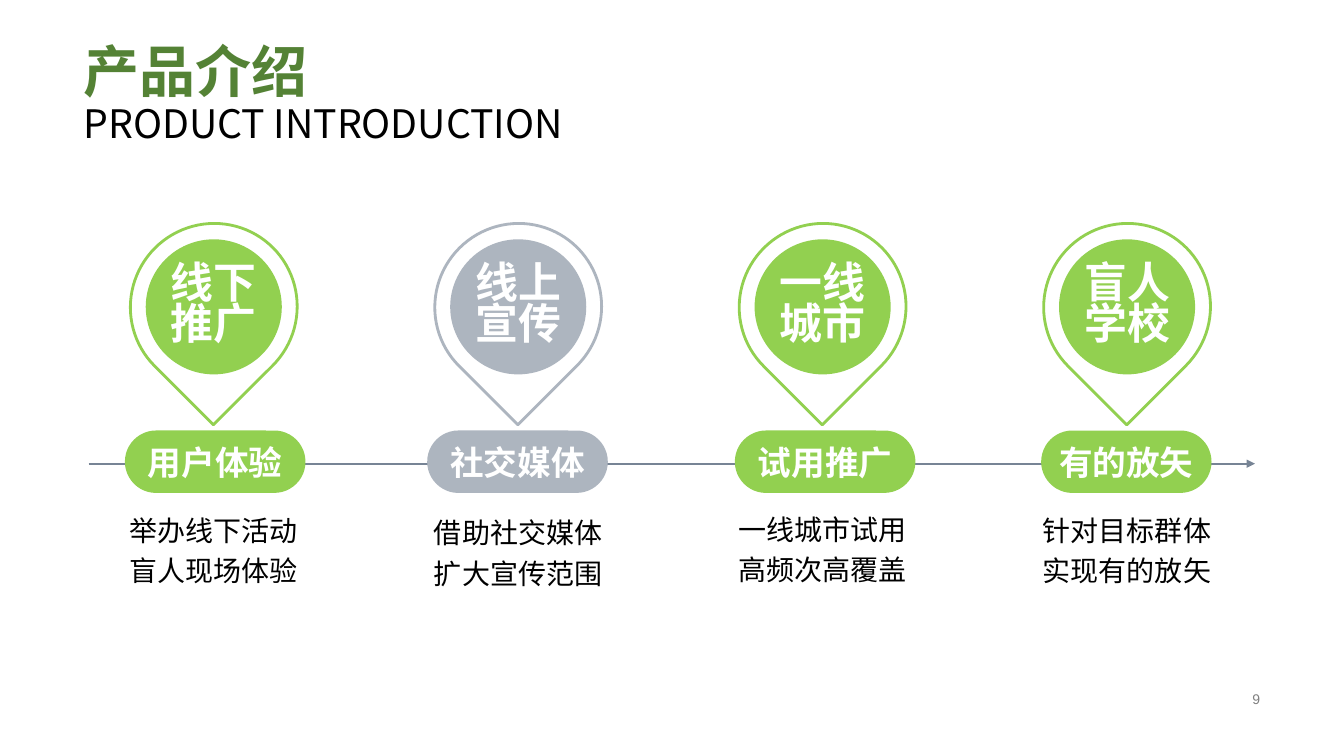
import pptx
import pptx.util
import pptx.dml.color
import pptx.enum.shapes
import pptx.enum.text
import pptx.oxml.ns
from lxml import etree

Pt = pptx.util.Pt
SHAPE = pptx.enum.shapes.MSO_SHAPE
ALIGN = pptx.enum.text.PP_ALIGN
ANCHOR = pptx.enum.text.MSO_ANCHOR
qn = pptx.oxml.ns.qn

# Content
TITLE, SUBTITLE = "产品介绍", "PRODUCT INTRODUCTION"
PAGE_NUMBER = "9"
# pin lines, pill label, caption lines, colour, pill shift, pill width, caption top
STEPS = [
    (["线下", "推广"], "用户体验", ["举办线下活动", "盲人现场体验"], "green", 1, 129, 358.5),
    (["线上", "宣传"], "社交媒体", ["借助社交媒体", "扩大宣传范围"], "gray", -0.5, 129, 360),
    (["一线", "城市"], "试用推广", ["一线城市试用", "高频次高覆盖"], "green", 1.8, 129, 357.8),
    (["盲人", "学校"], "有的放矢", ["针对目标群体", "实现有的放矢"], "green", -0.5, 121.7, 358.5),
]

THEME = {
    "green": "92D050", "gray": "ADB5BF", "dark_green": "548235", "axis": "778495",
    "white": "FFFFFF", "black": "000000", "number": "808080",
    "title": 40, "subtitle": 28, "pin": 30.6, "pill": 24, "caption": 20, "page": 10,
    "latin": "Arial", "cjk": "Noto Sans CJK SC",
}

# Layout in points
FIRST_CENTER, STEP_PITCH = 152.7, 217.45
AXIS_Y, AXIS_START, AXIS_END = 331.2, 63.4, 896.4
PIN_CENTER_Y = 219.2


def rgb(name):
    return pptx.dml.color.RGBColor.from_string(THEME[name])


def write(paragraph, text, size, color, bold=False, font="latin"):
    """Add one formatted run to a paragraph."""
    run = paragraph.add_run()
    run.text = text
    run.font.size, run.font.bold = Pt(THEME[size]), bold
    run.font.color.rgb = rgb(color)
    run.font.name = THEME[font]
    etree.SubElement(run._r.get_or_add_rPr(), qn("a:ea"), typeface=THEME["cjk"])


def set_lines(holder, lines, align=ALIGN.CENTER, anchor=ANCHOR.MIDDLE, wrap=False,
              spacing=1.0, **style):
    """Write each line as its own paragraph."""
    frame = holder.text_frame
    frame.word_wrap, frame.vertical_anchor = wrap, anchor
    for index, line in enumerate(lines):
        paragraph = frame.add_paragraph() if index else frame.paragraphs[0]
        paragraph.alignment, paragraph.line_spacing = align, spacing
        write(paragraph, line, **style)


def add_box(left, top, width, height):
    return slide.shapes.add_textbox(Pt(left), Pt(top), Pt(width), Pt(height))


def add_centered(kind, center_x, center_y, width, height, fill, outline=None):
    shape = slide.shapes.add_shape(kind, Pt(center_x - width / 2), Pt(center_y - height / 2),
                                   Pt(width), Pt(height))
    shape.shadow.inherit = False
    shape.fill.solid()
    shape.fill.fore_color.rgb = rgb(fill)
    if outline:
        shape.line.color.rgb, shape.line.width = rgb(outline), Pt(2)
    else:
        shape.line.fill.background()
    return shape


deck = pptx.Presentation()
deck.slide_width, deck.slide_height = Pt(960), Pt(540)
slide = deck.slides.add_slide(deck.slide_layouts[6])

# Heading
heading = add_box(52.6, 28.1, 854.6, 80.6)
set_lines(heading, [TITLE], align=ALIGN.LEFT, anchor=ANCHOR.BOTTOM, wrap=True, spacing=0.9,
          size="title", color="dark_green", bold=True, font="cjk")
heading_paragraph = heading.text_frame.paragraphs[0]
heading_paragraph.add_line_break()
write(heading_paragraph, SUBTITLE, size="subtitle", color="black", font="cjk")

# Page number
set_lines(add_box(678.2, 491, 229, 16.6), [PAGE_NUMBER], align=ALIGN.RIGHT, wrap=True,
          size="page", color="number")

# Timeline arrow
axis = slide.shapes.add_connector(pptx.enum.shapes.MSO_CONNECTOR.STRAIGHT,
                                  Pt(AXIS_START), Pt(AXIS_Y), Pt(AXIS_END), Pt(AXIS_Y))
axis.line.color.rgb, axis.line.width = rgb("axis"), Pt(1.5)
etree.SubElement(axis.line._get_or_add_ln(), qn("a:tailEnd"), type="triangle")
etree.SubElement(axis._element.spPr, qn("a:effectLst"))

# Steps: pin, disc, pill and caption
for index, (pin_lines, label, caption, color, shift, pill_width, caption_top) in enumerate(STEPS):
    center = FIRST_CENTER + index * STEP_PITCH

    pin = add_centered(SHAPE.TEAR, center, PIN_CENTER_Y, 119.5, 118.8, "white", color)
    pin.rotation = 135
    disc = add_centered(SHAPE.OVAL, center, PIN_CENTER_Y, 97.2, 96.5, color)
    set_lines(disc, pin_lines, spacing=0.8, size="pin", color="white", bold=True)

    pill = add_centered(SHAPE.ROUNDED_RECTANGLE, center + shift, AXIS_Y - 1.4, pill_width, 44.6,
                        color)
    pill.adjustments[0] = 0.5
    set_lines(pill, [label], size="pill", color="white", bold=True)

    set_lines(add_box(center - 86.4, caption_top, 172.8, 43.9), caption, anchor=ANCHOR.TOP,
              wrap=True, spacing=1.2, size="caption", color="black")

deck.save("out.pptx")
